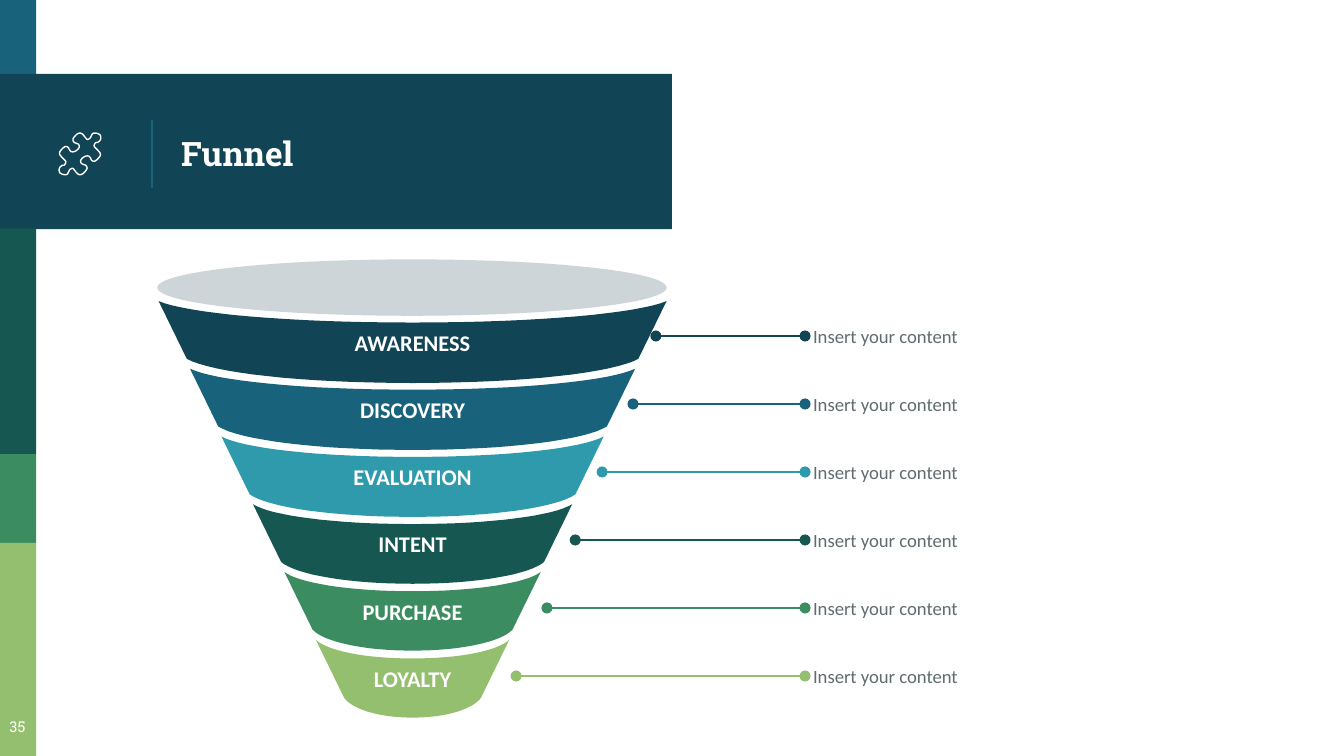
from pptx import Presentation
from pptx import util as u
from pptx.dml.color import RGBColor
from pptx.enum import shapes, text
from pptx.oxml.ns import qn
from lxml import etree

hues = {"navy": "114454", "blue": "18637B", "aqua": "309AAD",
        "pine": "165751", "green": "3B8D61", "lime": "94BF6E",
        "rim": "CED5D8", "grey": "5F6C70", "white": "FFFFFF"}
rgb = {name: RGBColor.from_string(code) for name, code in hues.items()}

deck = Presentation()
deck.slide_width = u.Inches(10)
deck.slide_height = u.Inches(5.625)
cell = deck.slide_width / 100
slide = deck.slides.add_slide(deck.slide_layouts[6])
items = slide.shapes


def write(shape, words, size, hue, font, bold=False, pad=0, align="LEFT",
          anchor="MIDDLE"):
    frame = shape.text_frame
    frame.word_wrap = True
    frame.vertical_anchor = text.MSO_ANCHOR[anchor]
    frame.margin_left = frame.margin_right = int(pad * cell)
    frame.margin_top = frame.margin_bottom = int(pad * cell)
    line = frame.paragraphs[0]
    line.text = words
    line.alignment = text.PP_ALIGN[align]
    line.font.size = u.Pt(size)
    line.font.name = font
    line.font.bold = bold
    line.font.color.rgb = rgb[hue]


def draw(spots):
    spots = [(x * 100, y * 100) for x, y in spots]
    pen = items.build_freeform(*spots[0], scale=cell / 100)
    pen.add_line_segments(spots[1:], close=True)
    shape = pen.convert_to_shape()
    shape.shadow.inherit = False
    return shape


rect, oval = shapes.MSO_SHAPE.RECTANGLE, shapes.MSO_SHAPE.OVAL
blocks = [(rect, 0, 0, 2.7, 5.8, "blue"),
          (rect, 0, 5.5, 50, 11.55, "navy"),
          (rect, 0, 17, 2.7, 16.8, "pine"),
          (rect, 0, 33.8, 2.7, 6.6, "green"),
          (rect, 0, 40.4, 2.7, 15.85, "lime"),
          (oval, 11.7, 19.3, 37.9, 4.2, "rim")]
for kind, *area, hue in blocks:
    block = items.add_shape(kind, *[int(n * cell) for n in area])
    block.shadow.inherit = False
    block.fill.solid()
    block.fill.fore_color.rgb = rgb[hue]
    block.line.fill.background()

mid = 30.7
steps = [k / 16 for k in range(17)]
tiers = [("AWARENESS", "navy", 48.8), ("DISCOVERY", "blue", 47.1),
         ("EVALUATION", "aqua", 44.8), ("INTENT", "pine", 42.8),
         ("PURCHASE", "green", 40.7), ("LOYALTY", "lime", 38.4)]
links = [(11.3, 8.9, 11.3, 14, "blue")]
for row, (name, hue, start) in enumerate(tiers):
    half = 18.9 - 2.34 * row
    top = 22.4 + 5.04 * row
    edges = []
    for wide, high, low in ((half, top, 24 + 5 * row),
                            (half - 2.1, top + 4.3, 28.5 + 4.98 * row)):
        curve = [(wide * ((1 - t) ** 3 + 2.67 * t * (1 - t) ** 2
                          + 1.5 * t * t * (1 - t)),
                  high + (low - high) * (1.7 * t * (1 - t) ** 2
                                         + 3 * t * t * (1 - t) + t ** 3))
                 for t in steps]
        edges.append([(mid - x, y) for x, y in curve]
                     + [(mid + x, y) for x, y in curve[-2::-1]])
    tier = draw(edges[0] + edges[1][::-1])
    tier.fill.solid()
    tier.fill.fore_color.rgb = rgb[hue]
    tier.line.fill.background()
    write(tier, name, 12, "white", "Calibri", True, 0.4, "CENTER")

    level = 25 + 5.06 * row
    links.append((start, level, 59.9, level, hue))
    note = items.add_textbox(*[int(n * cell)
                               for n in (60.5, level - 1.8, 29.3, 3.6)])
    write(note, "Insert your content", 10, "grey", "Calibri")

for *ends, hue in links:
    link = items.add_connector(shapes.MSO_CONNECTOR.STRAIGHT,
                               *[int(n * cell) for n in ends])
    link.line.width = u.Pt(0.75)
    link.line.color.rgb = rgb[hue]
    if ends[1] == ends[3]:
        stroke = link.line._get_or_add_ln()
        for tip in ("a:headEnd", "a:tailEnd"):
            etree.SubElement(stroke, qn(tip), type="oval")
    etree.SubElement(link._element.spPr, qn("a:effectLst"))

title = items.add_textbox(*[int(n * cell) for n in (12.5, 5.8, 35.1, 11.2)])
write(title, "Funnel", 18, "white", "Roboto Slab", True, 1)
page = items.add_textbox(*[int(n * cell) for n in (-0.6, 52.7, 3.8, 3.5)])
write(page, "35", 8, "white", "Roboto Slab", False, 1, "CENTER", "TOP")

side = [(7.1, 10.6), (7.3, 10.6), (7.5, 10.4), (7.5, 10.1), (7.4, 10),
        (7.2, 9.9), (6.9, 9.9), (6.8, 10.1), (6.7, 10.3), (6.5, 10.4),
        (6.4, 10.3), (6.1, 9.9), (5.8, 9.9), (5.5, 10.2), (5.4, 10.4),
        (5.5, 10.6), (5.8, 10.7), (5.9, 10.8), (5.9, 11), (5.7, 11.2),
        (5.5, 11.3), (5.3, 11.3), (5.2, 11.2), (5.1, 11), (5, 10.9),
        (4.8, 10.9), (4.5, 11.2), (4.4, 11.4), (4.5, 11.6), (4.8, 11.9),
        (4.9, 12), (4.9, 12.1)]
ring = side + [(11.9 - x, 22.9 - y) for x, y in side]
for turn in range(2):
    ring = [(a + (c - a) * t, b + (d - b) * t)
            for (a, b), (c, d) in zip(ring, ring[1:] + ring[:1])
            for t in (0.25, 0.75)]
puzzle = draw(ring)
puzzle.fill.background()
puzzle.line.color.rgb = rgb["white"]
puzzle.line.width = u.Pt(0.75)

deck.save("out.pptx")
